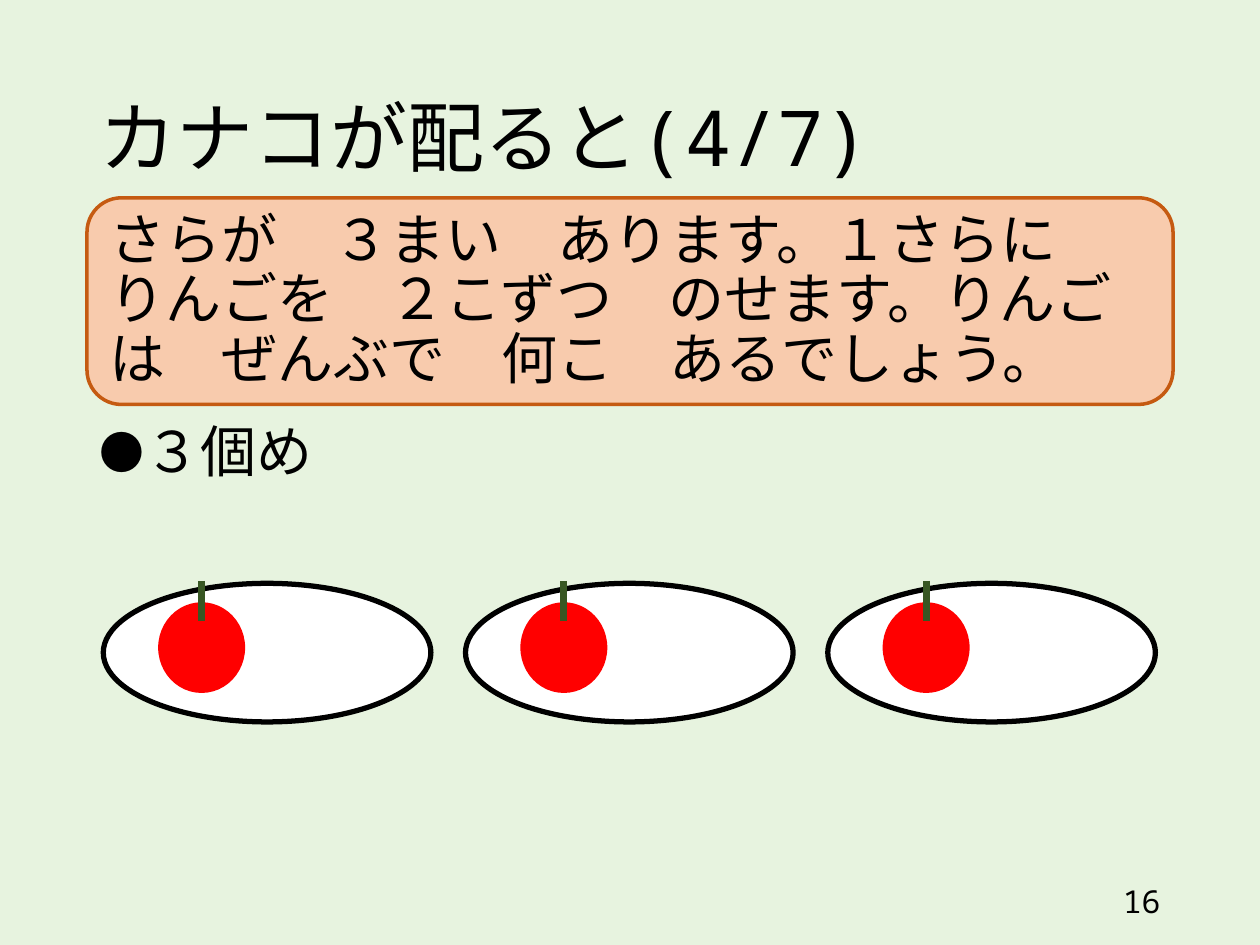
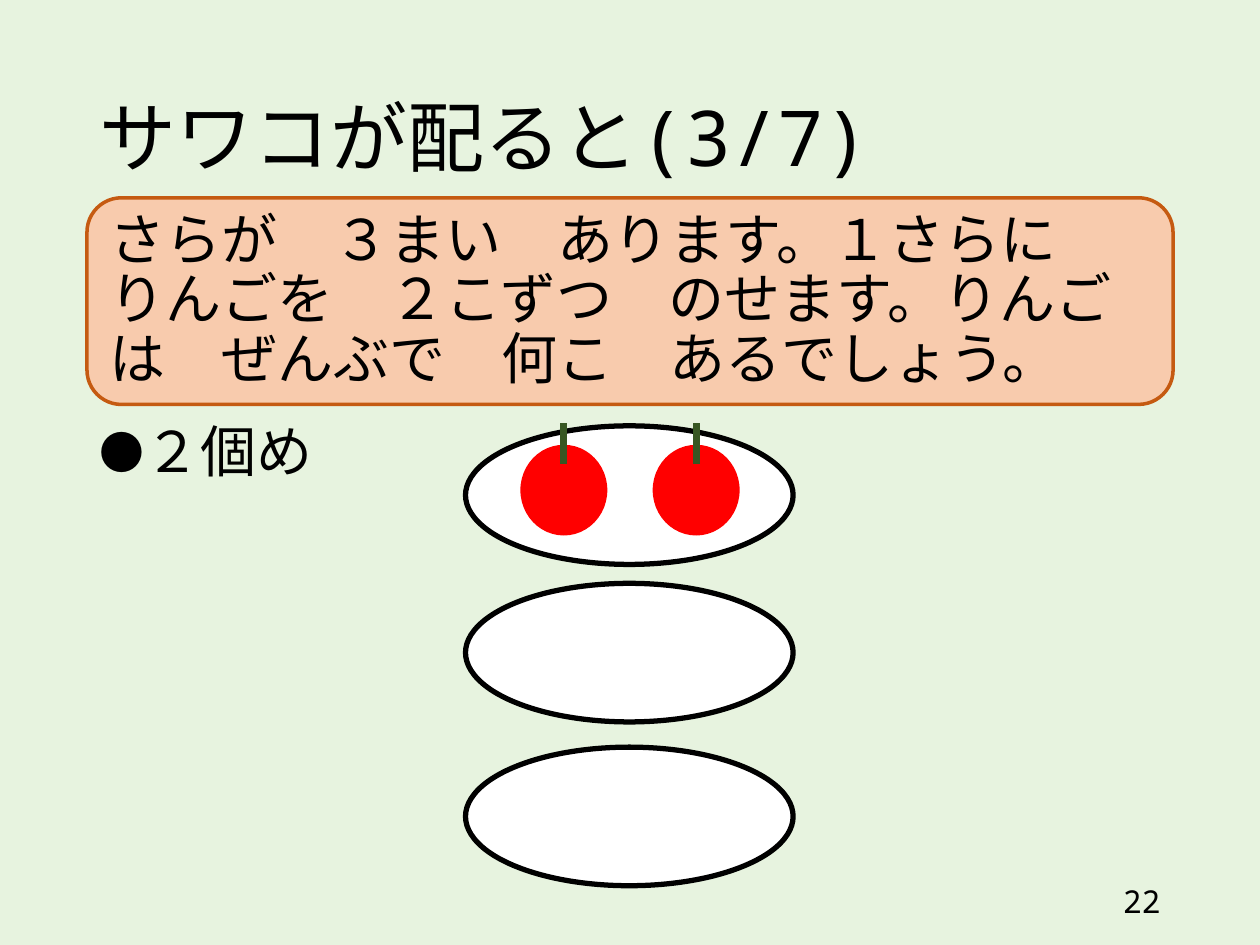
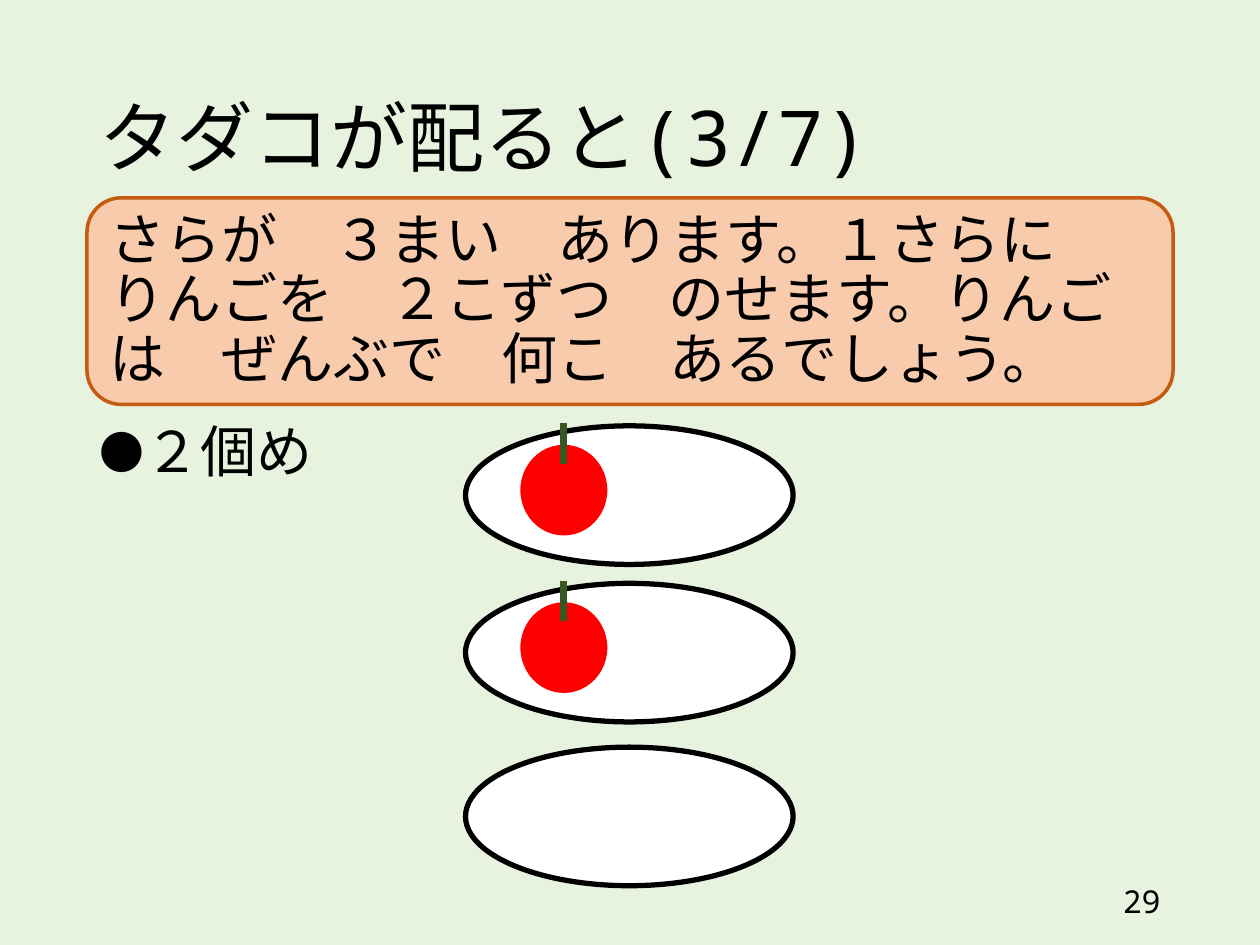
from pptx import Presentation
from pptx import util as u
from pptx.dml.color import RGBColor
from pptx.enum import shapes, text
from pptx.oxml import ns
from lxml import etree

COLUMNS, ROWS = 100, 75
MONO, GOTHIC = "Noto Sans Mono", "Noto Sans CJK JP"
PAPER, INK, WHITE = "E7F3DF", "000000", "FFFFFF"
PEACH, RUST, APPLE_RED, STEM_GREEN = "F8CBAD", "C55A11", "FF0000", "385723"

PLATE_LEFTS = [8.2 + 28.75 * column for column in range(3)]
PLATE_TOPS = [33.8, 46.3, 59.3]
PROBLEM = ("さらが　３まい　あります。１さらに　りんごを　２こずつ　のせます。"
           "りんごは　ぜんぶで　何こ　あるでしょう。")

MIDDLE_ROW = [(left, PLATE_TOPS[1]) for left in PLATE_LEFTS]
MIDDLE_COLUMN = [(PLATE_LEFTS[1], top) for top in PLATE_TOPS]

# title, count, page number, plate positions, apples on each plate
SLIDES = [
    ("カナコが配ると(4/7)", "３", "16", MIDDLE_ROW, (1, 1, 1)),
    ("サワコが配ると(3/7)", "２", "22", MIDDLE_COLUMN, (2, 0, 0)),
    ("タダコが配ると(3/7)", "２", "29", MIDDLE_COLUMN, (1, 1, 0)),
]


def color(hex_string):
    return RGBColor.from_string(hex_string)


def child(parent, tag, **attributes):
    return etree.SubElement(parent, ns.qn(tag), attributes)


def write(paragraph, *runs, size, align=text.PP_ALIGN.LEFT, spacing=None, before=0):
    """Fill a paragraph with (words, font) runs in one format."""
    paragraph.alignment = align
    paragraph.space_before = u.Pt(before)
    if spacing:
        paragraph.line_spacing = spacing
    for words, font in runs:
        run = paragraph.add_run()
        run.text = words
        run.font.size = u.Pt(size)
        run.font.name = font
        run.font.color.rgb = color(INK)
        child(run.font._element, "a:ea", typeface=font)


class Deck:
    def __init__(self):
        self.presentation = Presentation()
        self.presentation.slide_width = u.Inches(10)
        self.presentation.slide_height = u.Inches(7.5)
        fill = self.presentation.slide_master.background.fill
        fill.solid()
        fill.fore_color.rgb = color(PAPER)
        self.slide = None

    def x(self, columns):
        return round(self.presentation.slide_width * columns / COLUMNS)

    def y(self, rows):
        return round(self.presentation.slide_height * rows / ROWS)

    def box(self, left, top, width, height):
        return self.x(left), self.y(top), self.x(width), self.y(height)

    def add_slide(self):
        layout = self.presentation.slide_layouts[1]
        self.slide = self.presentation.slides.add_slide(layout)

    def frame(self, shape, anchor):
        frame = shape.text_frame
        frame.word_wrap = True
        frame.auto_size = text.MSO_AUTO_SIZE.NONE
        frame.vertical_anchor = anchor
        return frame.paragraphs[0]

    def placeholder(self, index, box, anchor):
        shape = self.slide.placeholders[index]
        shape.left, shape.top, shape.width, shape.height = self.box(*box)
        return self.frame(shape, anchor)

    def title(self, words):
        paragraph = self.placeholder(0, (6.9, 4, 86.2, 14.5), text.MSO_ANCHOR.MIDDLE)
        write(paragraph, (words, MONO), size=44, spacing=0.9)

    def bullet(self, *runs):
        paragraph = self.placeholder(1, (6.9, 33.2, 86.2, 34.3), text.MSO_ANCHOR.TOP)
        write(paragraph, *runs, size=32, spacing=u.Pt(34), before=10)
        properties = paragraph._p.get_or_add_pPr()
        properties.set("marL", str(u.Inches(0.25)))
        properties.set("indent", str(u.Inches(-0.25)))
        child(properties, "a:buSzPct", val="80000")
        child(properties, "a:buFont", typeface=GOTHIC)
        child(properties, "a:buChar", char="●")

    def page_number(self, number):
        shape = self.slide.shapes.add_textbox(*self.box(70.6, 69.5, 22.5, 4))
        paragraph = self.frame(shape, text.MSO_ANCHOR.MIDDLE)
        write(paragraph, (number, MONO), size=18, align=text.PP_ALIGN.RIGHT)

    def shape(self, kind, box, fill, line=None, weight=0, parent=None):
        parent = parent or self.slide
        shape = parent.shapes.add_shape(kind, *self.box(*box))
        shape.shadow.inherit = False
        shape.fill.solid()
        shape.fill.fore_color.rgb = color(fill)
        if line:
            shape.line.color.rgb = color(line)
            shape.line.width = u.Pt(weight)
        else:
            shape.line.fill.background()
        return shape

    def problem(self):
        shape = self.shape(shapes.MSO_SHAPE.ROUNDED_RECTANGLE,
                           (6.9, 15.7, 86.2, 16.4), PEACH, RUST, 2)
        paragraph = self.frame(shape, text.MSO_ANCHOR.MIDDLE)
        write(paragraph, (PROBLEM, GOTHIC), size=32, spacing=u.Pt(34), before=10)

    def apple(self, left, top):
        group = self.slide.shapes.add_group_shape()
        self.shape(shapes.MSO_SHAPE.OVAL, (left, top, 6.9, 7.2), APPLE_RED, parent=group)
        middle = self.x(left + 3.45)
        stem = group.shapes.add_connector(shapes.MSO_CONNECTOR.STRAIGHT, middle,
                                          self.y(top - 1.7), middle, self.y(top + 1.5))
        stem.line.color.rgb = color(STEM_GREEN)
        stem.line.width = u.Pt(4)
        child(stem._element.spPr, "a:effectLst")

    def plate(self, left, top, apples):
        self.shape(shapes.MSO_SHAPE.OVAL, (left, top, 26, 11), WHITE, INK, 3)
        for place in range(apples):
            self.apple(left + 4.35 + 10.5 * place, top + 1.5)


def main():
    deck = Deck()
    for title, count, number, positions, apples in SLIDES:
        deck.add_slide()
        deck.title(title)
        deck.bullet((count, GOTHIC), ("個め", MONO))
        deck.page_number(number)
        for (left, top), amount in zip(positions, apples):
            deck.plate(left, top, amount)
        deck.problem()
    deck.presentation.save("out.pptx")


if __name__ == "__main__":
    main()
